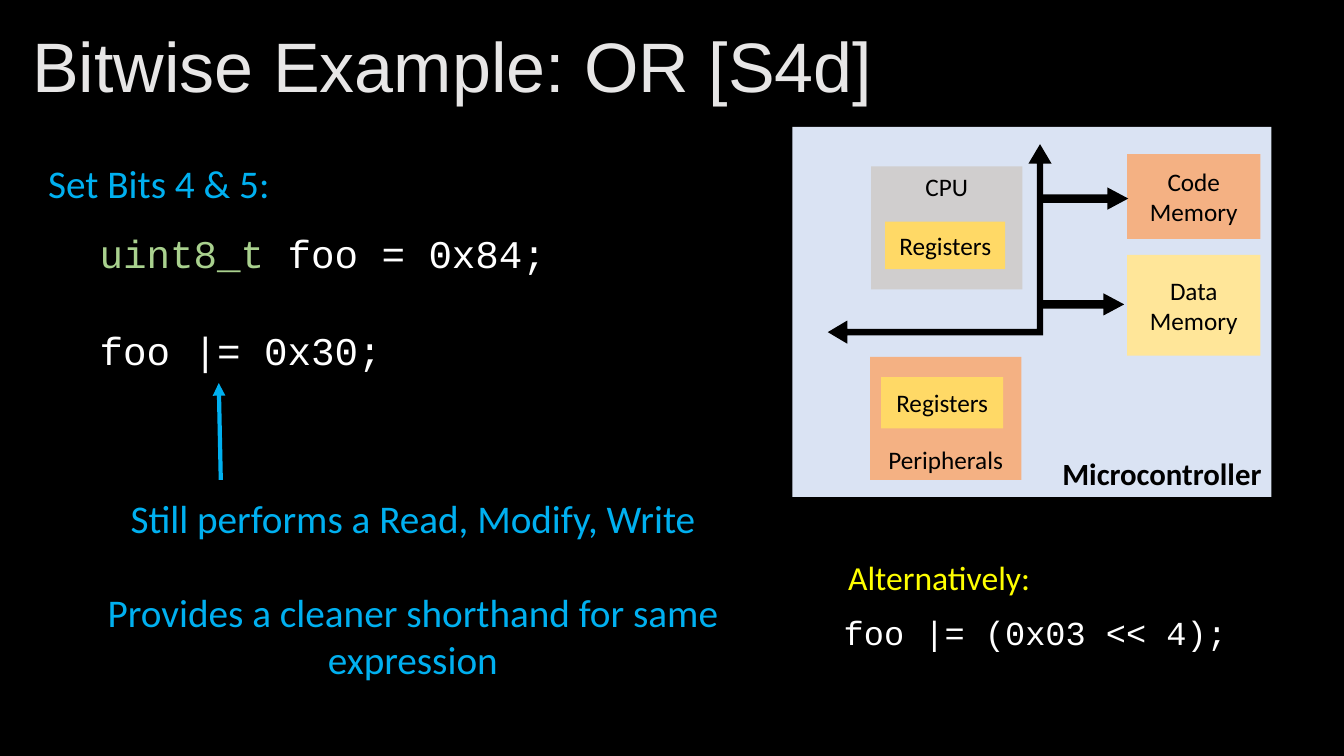
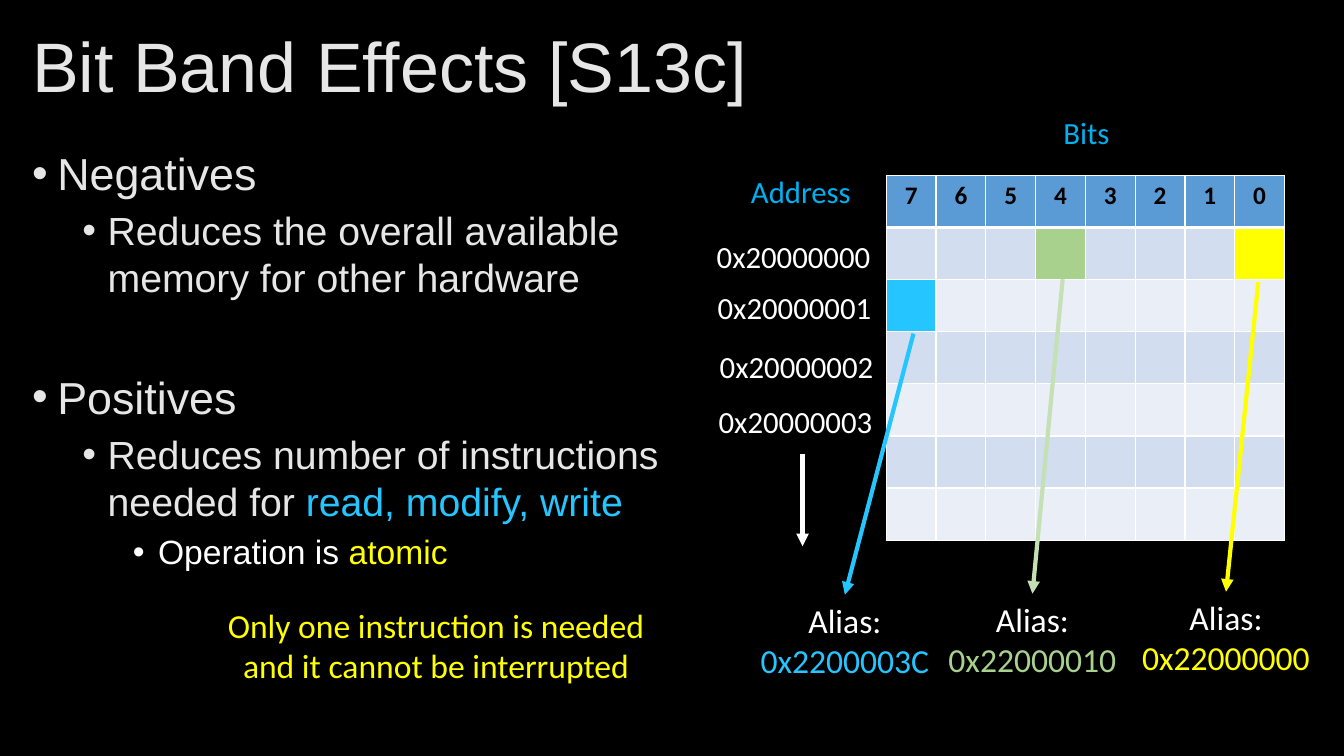
from dataclasses import dataclass

from lxml import etree
from pptx import Presentation
from pptx.dml.color import RGBColor
from pptx.enum.shapes import MSO_CONNECTOR, MSO_SHAPE as Preset
from pptx.enum.text import MSO_ANCHOR as Anchor, MSO_AUTO_SIZE as AutoSize, PP_ALIGN as Align
from pptx.oxml.ns import qn
from pptx.util import Emu, Pt

# Colours
BLACK = RGBColor(0x00, 0x00, 0x00)
WHITE = RGBColor(0xFF, 0xFF, 0xFF)
OFF_WHITE = RGBColor(0xE7, 0xE6, 0xE6)
BLUE = RGBColor(0x00, 0xB0, 0xF0)
SKY = RGBColor(0x25, 0xC6, 0xFF)
GREEN = RGBColor(0xA9, 0xD1, 0x8E)
PALE_GREEN = RGBColor(0xC5, 0xE0, 0xB4)
YELLOW = RGBColor(0xFF, 0xFF, 0x00)
PALE_BLUE = RGBColor(0xDA, 0xE3, 0xF3)
ORANGE = RGBColor(0xF4, 0xB1, 0x83)
GREY = RGBColor(0xD0, 0xCE, 0xCE)
CREAM = RGBColor(0xFF, 0xE6, 0x99)
GOLD = RGBColor(0xFF, 0xD9, 0x66)
HEADER_BLUE = RGBColor(0x5B, 0x9B, 0xD5)
BAND_DARK = RGBColor(0xD2, 0xDE, 0xEF)
BAND_LIGHT = RGBColor(0xEA, 0xEF, 0xF7)

# Fonts and scale
SANS, BODY, CODE = "Arial", "Calibri", "Courier New"
EMU_PER_PX = 9144
SLIDE_SIZE = (1333, 750)


def px(*lengths):
    return [Emu(length * EMU_PER_PX) for length in lengths]


@dataclass
class Para:
    runs: list
    size: int
    font: str = BODY
    align: Align = Align.LEFT
    before: int = 0
    leading: float = None
    level: int = None
    bold: bool = False


def centred(text, size, color, **style):
    return Para([(text, color)], size, align=Align.CENTER, **style)


class Deck:
    """Holds the shared style and the current slide."""

    def __init__(self):
        self.presentation = Presentation()
        self.presentation.slide_width, self.presentation.slide_height = px(*SLIDE_SIZE)
        background = self.presentation.slide_master.background.fill
        background.solid()
        background.fore_color.rgb = BLACK

    def new_slide(self, title):
        layout = self.presentation.slide_layouts.get_by_name("Title Only")
        self.slide = self.presentation.slides.add_slide(layout)
        self.shapes = self.slide.shapes
        shape = self.shapes.title
        shape.left, shape.top, shape.width, shape.height = px(22, 21, 1289, 97)
        shape.text_frame.auto_size = AutoSize.NONE
        shape.text_frame.vertical_anchor = Anchor.MIDDLE
        self.fill_frame(shape.text_frame, [Para([(title, OFF_WHITE)], 50, SANS, leading=0.9)])

    def start_group(self):
        self.shapes = self.slide.shapes.add_group_shape().shapes

    def end_group(self):
        self.shapes = self.slide.shapes

    def fill_frame(self, frame, paras):
        for index, para in enumerate(paras):
            paragraph = frame.add_paragraph() if index else frame.paragraphs[0]
            paragraph.alignment = para.align
            paragraph.space_before = Pt(para.before)
            if para.leading:
                paragraph.line_spacing = para.leading
            if para.level is not None:
                self.add_bullet(paragraph, para.level)
            for text, color in para.runs:
                run = paragraph.add_run()
                run.text = text
                font = run.font
                font.name, font.size, font.bold = para.font, Pt(para.size), para.bold
                font.color.rgb = color

    def add_bullet(self, paragraph, level):
        paragraph.level = level
        properties = paragraph._p.get_or_add_pPr()
        margin, indent = px(25 + 50 * level, -25)
        properties.set("marL", str(margin))
        properties.set("indent", str(indent))
        etree.SubElement(properties, qn("a:buFont"), typeface=SANS)
        etree.SubElement(properties, qn("a:buChar"), char="•")

    def text(self, box, *paras, wrap=True):
        frame = self.shapes.add_textbox(*px(*box)).text_frame
        frame.word_wrap = wrap
        frame.auto_size = AutoSize.SHAPE_TO_FIT_TEXT
        self.fill_frame(frame, paras)

    def shape(self, preset, box, fill, para=None, anchor=Anchor.MIDDLE, adjust=(), rotation=0):
        shape = self.shapes.add_shape(preset, *px(*box))
        shape.shadow.inherit = False
        shape.fill.solid()
        shape.fill.fore_color.rgb = fill
        shape.line.fill.background()
        shape.rotation = rotation
        for index, value in enumerate(adjust):
            shape.adjustments[index] = value
        if para:
            shape.text_frame.word_wrap = True
            shape.text_frame.vertical_anchor = anchor
            self.fill_frame(shape.text_frame, [para])

    def arrow(self, start, end, color):
        connector = self.shapes.add_connector(MSO_CONNECTOR.STRAIGHT, *px(*start, *end))
        connector.line.color.rgb = color
        connector.line.width = Pt(3)
        etree.SubElement(connector.line._get_or_add_ln(), qn("a:tailEnd"), type="triangle")
        etree.SubElement(connector._element.spPr, qn("a:effectLst"))

    def table(self, box, headers, row_count, marks):
        left, top, width, height = px(*box)
        table = self.shapes.add_table(row_count, len(headers), left, top, width, height).table
        for column in table.columns:
            column.width = Emu(width // len(headers))
        for row in table.rows:
            row.height = Emu(height // row_count)
        for row in range(row_count):
            band = BAND_DARK if row % 2 else BAND_LIGHT
            for column, header in enumerate(headers):
                cell = table.cell(row, column)
                self.add_borders(cell, top=1 if row != 1 else 3, bottom=1 if row else 3)
                cell.fill.solid()
                cell.fill.fore_color.rgb = marks.get((row, column), band if row else HEADER_BLUE)
                if row == 0:
                    self.fill_frame(cell.text_frame, [centred(header, 18, BLACK, bold=True)])

    def add_borders(self, cell, top, bottom):
        properties = cell._tc.get_or_add_tcPr()
        for side, width in (("L", 1), ("R", 1), ("T", top), ("B", bottom)):
            line = etree.SubElement(properties, qn(f"a:ln{side}"), w=str(Pt(width)))
            fill = etree.SubElement(line, qn("a:solidFill"))
            etree.SubElement(fill, qn("a:srgbClr"), val=str(WHITE))


def build_or_example(deck):
    deck.new_slide("Bitwise Example: OR [S4d]")

    # Code and explanation
    deck.text(
        (89, 223, 467, 151),
        Para([("uint8_t ", GREEN), ("foo = 0x84;", WHITE)], 28, CODE),
        Para([("foo |= 0x30;", WHITE)], 28, CODE, before=35),
        wrap=False,
    )
    deck.text(
        (33, 485, 753, 199),
        centred("Still performs a Read, Modify, Write", 28, BLUE),
        centred("Provides a cleaner shorthand for same expression", 28, BLUE, before=34),
    )
    deck.arrow((219, 476), (217, 380), BLUE)

    # Microcontroller diagram
    deck.start_group()
    name = Para([("Microcontroller", BLACK)], 22, align=Align.RIGHT, bold=True)
    deck.shape(Preset.RECTANGLE, (786, 126, 475, 367), PALE_BLUE, name, Anchor.BOTTOM)
    for label, box, fill, anchor in (
        ("Code Memory", (1118, 153, 132, 84), ORANGE, Anchor.MIDDLE),
        ("Data Memory", (1118, 253, 132, 100), CREAM, Anchor.MIDDLE),
        ("CPU", (864, 165, 150, 122), GREY, Anchor.TOP),
        ("Peripherals", (863, 354, 150, 122), ORANGE, Anchor.BOTTOM),
        ("Registers", (878, 220, 119, 47), GOLD, Anchor.MIDDLE),
        ("Registers", (874, 374, 121, 51), GOLD, Anchor.MIDDLE),
    ):
        deck.shape(Preset.RECTANGLE, box, fill, centred(label, 18, BLACK), anchor)
    deck.shape(Preset.LEFT_UP_ARROW, (821, 143, 222, 198), BLACK, adjust=(0.032, 0.058, 0.098))
    for left, top in ((1065, 154), (1061, 259)):
        deck.shape(Preset.UP_ARROW, (left, top, 22, 86), BLACK, adjust=(0.382, 0.936), rotation=90)
    deck.end_group()

    # Alternative form and heading
    deck.text((827, 602, 403, 50), Para([("foo |= (0x03 << 4);", WHITE)], 24, CODE), wrap=False)
    deck.text((830, 548, 203, 50), centred("Alternatively:", 24, YELLOW), wrap=False)
    deck.text((38, 153, 243, 57), Para([("Set Bits 4 & 5:", BLUE)], 28), wrap=False)


def build_bit_band(deck):
    deck.new_slide("Bit Band Effects [S13c]")

    # Bulleted points
    sizes = (32, 28, 24)
    points = (
        (0, 0, [("Negatives", OFF_WHITE)]),
        (1, 5, [("Reduces the overall available memory for other hardware", OFF_WHITE)]),
        (0, 49, [("Positives", OFF_WHITE)]),
        (1, 5, [("Reduces number of instructions needed for ", OFF_WHITE),
                ("read, modify, write", SKY)]),
        (2, 5, [("Operation is ", WHITE), ("atomic", YELLOW)]),
    )
    deck.text((22, 140, 687, 436), *(
        Para(runs, sizes[level], SANS, before=before, leading=Pt(sizes[level] * 1.2), level=level)
        for level, before, runs in points
    ))
    note = "Only one instruction is needed and it cannot be interrupted"
    deck.text((191, 595, 483, 91), centred(note, 24, YELLOW))

    # Memory map
    deck.text((735, 166, 128, 47), Para([("Address", BLUE)], 22))
    deck.text((1024, 108, 107, 47), centred("Bits", 22, BLUE))
    for index, (left, top) in enumerate(((684, 231), (685, 282), (687, 340), (686, 395))):
        deck.text((left, top, 206, 47), centred(f"0x2000000{index}", 22, WHITE))
    deck.arrow((796, 450), (796, 542), WHITE)
    marks = {(1, 3): GREEN, (1, 7): YELLOW, (2, 0): SKY}
    deck.table((879, 174, 395, 362), "76543210", 7, marks)

    # Alias addresses
    for address, left, top, color, start, end, line_color in (
        ("0x2200003C", 735, 590, SKY, (906, 331), (838, 590), SKY),
        ("0x22000010", 921, 589, GREEN, (1054, 277), (1024, 589), PALE_GREEN),
        ("0x22000000", 1113, 587, YELLOW, (1248, 280), (1216, 587), YELLOW),
    ):
        alias = Para([("Alias: ", WHITE), (address, color)], 24, align=Align.CENTER)
        deck.text((left, top, 206, 91), alias)
        deck.arrow(start, end, line_color)


def main():
    deck = Deck()
    build_or_example(deck)
    build_bit_band(deck)
    deck.presentation.save("out.pptx")


if __name__ == "__main__":
    main()
